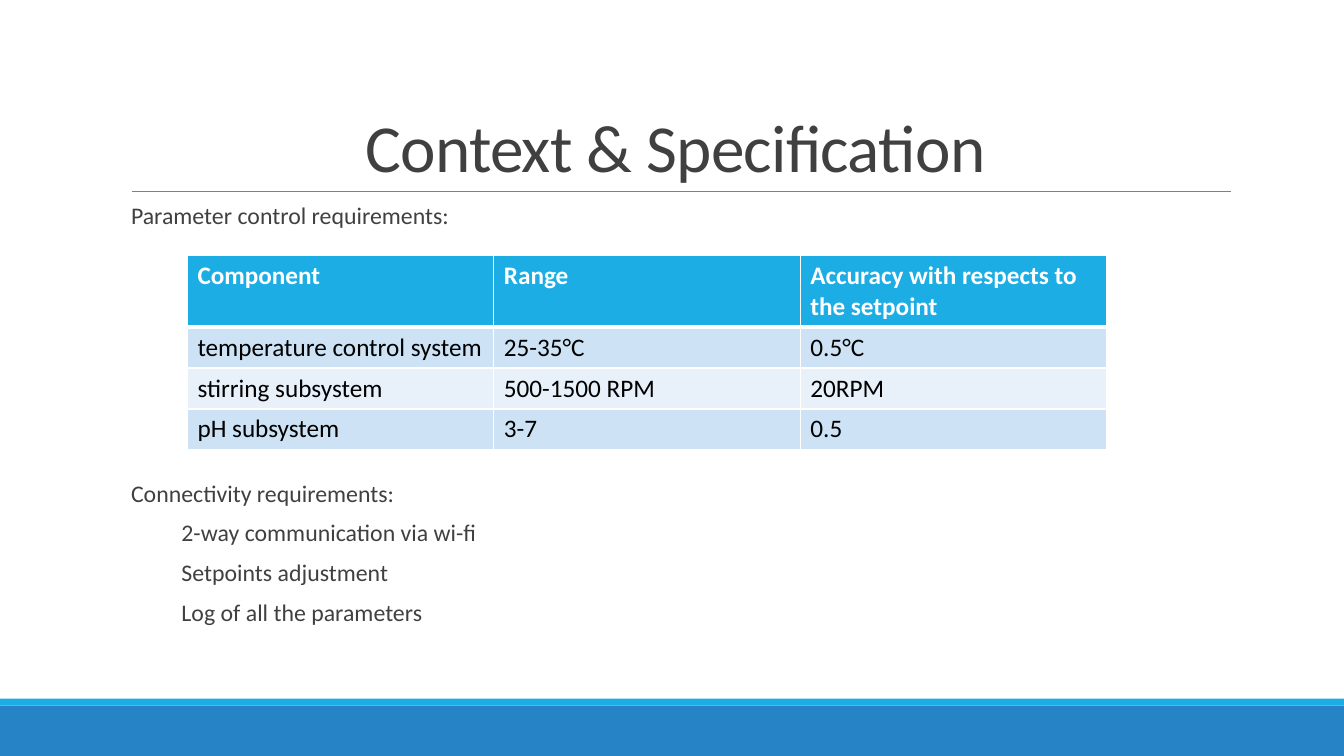
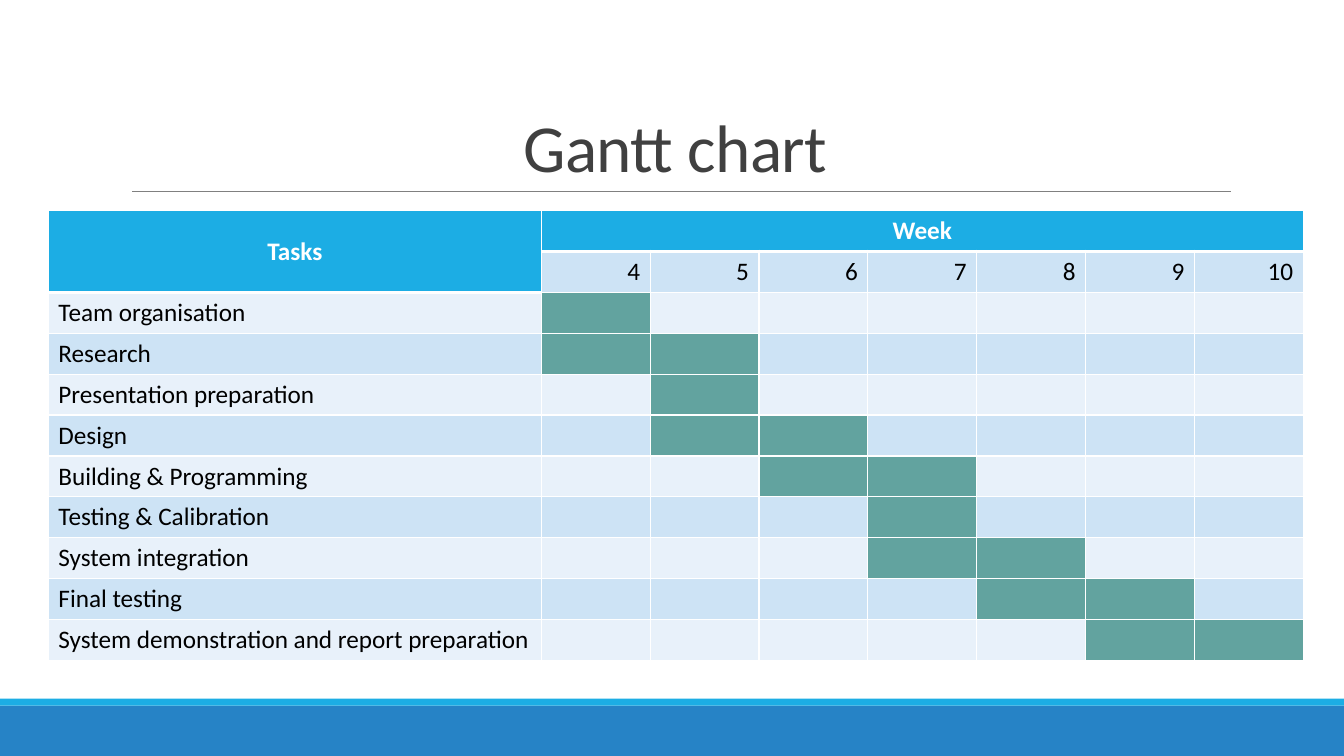
"""Build a project deck with a specification table and a Gantt chart."""

from dataclasses import dataclass

from lxml.etree import SubElement
from pptx import Presentation
from pptx.dml.color import RGBColor
from pptx.enum.shapes import MSO_CONNECTOR, MSO_SHAPE
from pptx.enum.text import MSO_ANCHOR, MSO_AUTO_SIZE, PP_ALIGN
from pptx.oxml.ns import qn
from pptx.util import Inches, Length, Pt

WIDE, TALL = Inches(13.33), Inches(7.5)
FONT = "Calibri"
BLUE = RGBColor(0x26, 0x83, 0xC6)
SKY = RGBColor(0x1C, 0xAD, 0xE4)
GREY = RGBColor(0x80, 0x80, 0x80)
DARK = RGBColor(0x40, 0x40, 0x40)
BLACK = RGBColor(0, 0, 0)
WHITE = RGBColor(0xFF, 0xFF, 0xFF)
TEAL = RGBColor(0x62, 0xA3, 0x9F)
TINTS = (RGBColor(0xE8, 0xF1, 0xFA), RGBColor(0xCD, 0xE3, 0xF5))


@dataclass(frozen=True)
class Box:
    """Hold a place and size in percent of the slide."""

    left: float
    top: float
    width: float
    height: float

    def frame(self) -> tuple[Length, Length, Length, Length]:
        """Return the box as slide lengths."""
        return across(self.left), down(self.top), across(self.width), down(self.height)


@dataclass(frozen=True)
class Band:
    """Describe a filled strip."""

    box: Box
    color: RGBColor


@dataclass(frozen=True)
class Item:
    """Describe a line of the body list."""

    text: str
    before: int = 12
    inset: float = 0


@dataclass(frozen=True)
class Task:
    """Describe a task and its weeks."""

    name: str
    first: int
    last: int


TITLE = Box(9, 4.13, 82.5, 21.2)
BODY = Box(9, 26.93, 82.5, 58.67)
BANDS = (
    Band(Box(0, 93.33, 100, 6.67), BLUE),
    Band(Box(0, 92.4, 100, 0.93), SKY),
)
ROW = 5.33
ITEMS = (
    Item("Parameter control requirements:", 0),
    Item("Connectivity requirements:", 182),
    Item("2-way communication via wi-fi", inset=0.5),
    Item("Setpoints adjustment", inset=0.5),
    Item("Log of all the parameters", inset=0.5),
)
SPECS = (
    ("Component", "Range", "Accuracy with respects to the setpoint"),
    ("temperature control system", "25-35°C", "0.5°C"),
    ("stirring subsystem", "500-1500 RPM", "20RPM"),
    ("pH subsystem", "3-7", "0.5"),
)
WEEKS = range(4, 11)
TASKS = (
    Task("Team organisation", 4, 4),
    Task("Research", 4, 5),
    Task("Presentation preparation", 5, 5),
    Task("Design", 5, 6),
    Task("Building & Programming", 6, 7),
    Task("Testing & Calibration", 7, 7),
    Task("System integration", 7, 8),
    Task("Final testing", 8, 9),
    Task("System demonstration and report preparation", 9, 10),
)


def across(share: float) -> Length:
    """Turn a percent of the width into a length."""
    return Length(round(WIDE * share / 100))


def down(share: float) -> Length:
    """Turn a percent of the height into a length."""
    return Length(round(TALL * share / 100))


def style(para, size: int, color: RGBColor, bold: bool = False) -> None:
    """Format the runs of a paragraph."""
    for run in para.runs:
        run.font.name = FONT
        run.font.size = Pt(size)
        run.font.bold = bold
        run.font.color.rgb = color


def place(holder, box: Box) -> None:
    """Move a placeholder to a box."""
    holder.left, holder.top, holder.width, holder.height = box.frame()


def dress(deck, slide) -> None:
    """Draw the bands and rule, and hand them to the master."""
    parts = []
    for band in BANDS:
        strip = slide.shapes.add_shape(MSO_SHAPE.RECTANGLE, *band.box.frame())
        strip.shadow.inherit = False
        strip.fill.solid()
        strip.fill.fore_color.rgb = band.color
        strip.line.fill.background()
        parts.append(strip)
    rule = slide.shapes.add_connector(
        MSO_CONNECTOR.STRAIGHT, across(9.83), down(25.33), across(91.6), down(25.33)
    )
    rule.line.color.rgb = GREY
    rule.line.width = Pt(0.5)
    SubElement(rule._element.spPr, qn("a:effectLst"))
    parts.append(rule)
    tree = deck.slide_master.shapes._spTree
    for spot, part in enumerate(parts):
        part._element.xpath(".//p:cNvPr")[0].set("id", str(100 + spot))
        tree.insert(2 + spot, part._element)


def add_page(deck, layout: int, title: str):
    """Add a slide with its title."""
    slide = deck.slides.add_slide(deck.slide_layouts[layout])
    head = slide.shapes.title
    place(head, TITLE)
    frame = head.text_frame
    frame.text = title
    frame.word_wrap = True
    frame.auto_size = MSO_AUTO_SIZE.NONE
    frame.vertical_anchor = MSO_ANCHOR.BOTTOM
    para = frame.paragraphs[0]
    para.alignment = PP_ALIGN.CENTER
    para.line_spacing = 0.85
    style(para, 48, DARK)
    for run in para.runs:
        run._r.get_or_add_rPr().set("spc", "-50")
    return slide


def fill_body(holder, items: tuple[Item, ...]) -> None:
    """Write the list into the body placeholder."""
    place(holder, BODY)
    frame = holder.text_frame
    frame.word_wrap = True
    frame.auto_size = MSO_AUTO_SIZE.NONE
    for spot, item in enumerate(items):
        para = frame.add_paragraph() if spot else frame.paragraphs[0]
        para.text = item.text
        props = para._p.get_or_add_pPr()
        props.set("marL", str(Inches(item.inset)))
        props.set("indent", "0")
        SubElement(props, qn("a:buNone"))
        para.line_spacing = 0.7
        para.space_before = Pt(item.before)
        para.space_after = Pt(2)
        style(para, 17, DARK)


def edge(cell, under: int) -> None:
    """Give a cell white borders with a chosen lower weight."""
    props = cell._tc.get_or_add_tcPr()
    for spot, (side, weight) in enumerate((("lnL", 1), ("lnR", 1), ("lnB", under))):
        line = props.makeelement(qn(f"a:{side}"), {"w": str(Pt(weight))})
        paint = SubElement(line, qn("a:solidFill"))
        SubElement(paint, qn("a:srgbClr"), val=str(WHITE))
        props.insert(spot, line)


def fill_cell(cell, text: str, fill: RGBColor, head: bool = False,
              align: PP_ALIGN = PP_ALIGN.LEFT, anchor: MSO_ANCHOR = MSO_ANCHOR.TOP) -> None:
    """Write and paint one cell."""
    cell.fill.solid()
    cell.fill.fore_color.rgb = fill
    cell.vertical_anchor = anchor
    cell.text_frame.text = text
    para = cell.text_frame.paragraphs[0]
    para.alignment = align
    style(para, 18, WHITE if head else BLACK, head)
    edge(cell, 3 if head else 1)


def add_grid(slide, left: float, top: float, cols: list[float], rows: list[float]):
    """Add an empty table with given columns and rows."""
    box = Box(left, top, sum(cols), sum(rows))
    table = slide.shapes.add_table(len(rows), len(cols), *box.frame()).table
    for col, share in zip(table.columns, cols):
        col.width = across(share)
    for row, share in zip(table.rows, rows):
        row.height = down(share)
    return table


def draw_specs(slide) -> None:
    """Draw the table of control requirements."""
    table = add_grid(slide, 13.95, 33.8, [22.8] * 3, [9.2] + [ROW] * 3)
    for row, texts in enumerate(SPECS):
        for col, text in enumerate(texts):
            fill = TINTS[row % 2] if row else SKY
            fill_cell(table.cell(row, col), text, fill, row == 0)


def draw_gantt(slide) -> None:
    """Draw the weekly plan of tasks."""
    count = len(WEEKS)
    table = add_grid(slide, 3.6, 27.87, [36.68] + [8.1] * count, [ROW] * (len(TASKS) + 2))
    mid = MSO_ANCHOR.MIDDLE
    for col in range(count + 1):
        text = {0: "Tasks", 1: "Week"}.get(col, "")
        fill_cell(table.cell(0, col), text, SKY, True, PP_ALIGN.CENTER, mid)
    fill_cell(table.cell(1, 0), "", SKY, True)
    for col, week in enumerate(WEEKS, 1):
        fill_cell(table.cell(1, col), str(week), TINTS[1], False, PP_ALIGN.RIGHT, mid)
    for row, task in enumerate(TASKS, 2):
        tint = TINTS[row % 2]
        fill_cell(table.cell(row, 0), task.name, tint, anchor=mid)
        for col, week in enumerate(WEEKS, 1):
            busy = task.first <= week <= task.last
            fill_cell(table.cell(row, col), "", TEAL if busy else tint)
    table.cell(0, 0).merge(table.cell(1, 0))
    table.cell(0, 1).merge(table.cell(0, count))


def main() -> None:
    """Build and save the deck."""
    deck = Presentation()
    deck.slide_width, deck.slide_height = WIDE, TALL
    needs = add_page(deck, 1, "Context & Specification")
    dress(deck, needs)
    fill_body(needs.placeholders[1], ITEMS)
    draw_specs(needs)
    plan = add_page(deck, 5, "Gantt chart")
    draw_gantt(plan)
    deck.save("out.pptx")


if __name__ == "__main__":
    main()
